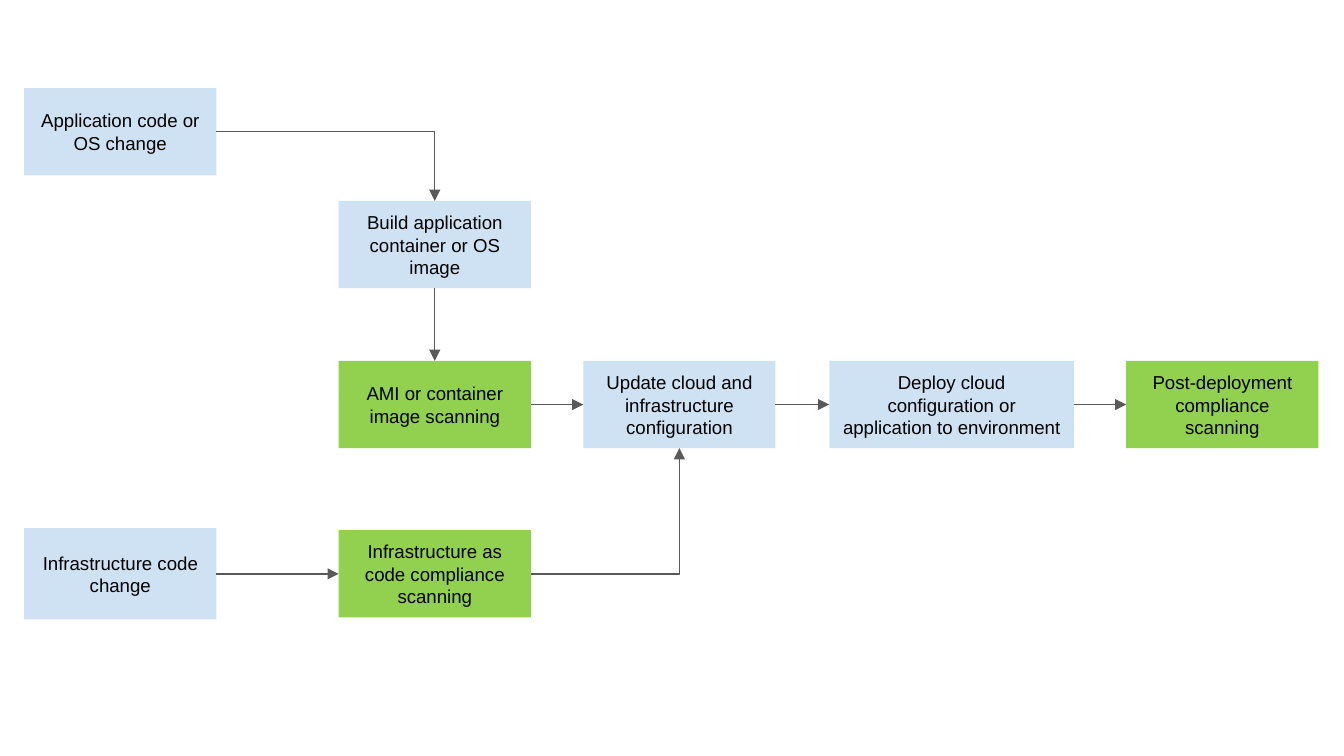
"""Build a slide with a compliance scanning pipeline flowchart."""
import pptx
import pptx.util
import pptx.dml.color
import pptx.enum.shapes
import pptx.enum.text
import pptx.oxml
import pptx.oxml.ns

Inches = pptx.util.Inches
SLIDE_WIDTH = Inches(10)
SLIDE_HEIGHT = SLIDE_WIDTH * 9 // 16
BLUE, GREEN, GREY, BLACK = "CFE2F3", "92D050", "595959", "000000"
COLUMNS = [0.18, 2.52, 4.34, 6.17, 8.38]
ROW_CENTRES = [0.98, 1.82, 3.01, 4.27]
BOX_WIDTH, BOX_HEIGHT = 1.43, 0.65
TOP, LEFT, BOTTOM, RIGHT = range(4)

STEPS = {
    "build": ("Build application container or OS image", 1, 1, BLUE, {}),
    "deploy": ("Deploy cloud configuration or application to environment", 3, 2, BLUE, {"width": 1.82}),
    "update": ("Update cloud and infrastructure configuration", 2, 2, BLUE, {}),
    "app_change": ("Application code or OS change", 0, 0, BLUE, {}),
    "infra_change": ("Infrastructure code change", 0, 3, BLUE, {"height": 0.68}),
    "image_scan": ("AMI or container image scanning", 1, 2, GREEN, {}),
    "infra_scan": ("Infrastructure as code compliance scanning", 1, 3, GREEN, {}),
    "post_scan": ("Post-deployment compliance scanning", 4, 2, GREEN, {}),
}
ARROWS = [
    ("app_change", RIGHT, "build", TOP),
    ("infra_scan", RIGHT, "update", BOTTOM),
    ("image_scan", RIGHT, "update", LEFT),
    ("update", RIGHT, "deploy", LEFT),
    ("build", BOTTOM, "image_scan", TOP),
    ("infra_change", RIGHT, "infra_scan", LEFT),
    ("deploy", RIGHT, "post_scan", LEFT),
]
FRAME_FORMAT = {
    "word_wrap": True,
    "vertical_anchor": pptx.enum.text.MSO_ANCHOR.MIDDLE,
    **{f"margin_{side}": Inches(0.1) for side in ("left", "top", "right", "bottom")},
}
FONT_FORMAT = {"name": "Arial", "size": pptx.util.Pt(10)}


def set_all(target, values):
    for name, value in values.items():
        setattr(target, name, value)


def paint(fill, colour):
    fill.solid()
    fill.fore_color.rgb = pptx.dml.color.RGBColor.from_string(colour)


def add_step(slide, text, column, row, colour, size):
    width, height = size.get("width", BOX_WIDTH), size.get("height", BOX_HEIGHT)
    shape = slide.shapes.add_shape(
        pptx.enum.shapes.MSO_SHAPE.RECTANGLE,
        Inches(COLUMNS[column]), Inches(ROW_CENTRES[row] - height / 2),
        Inches(width), Inches(height))
    shape.shadow.inherit = False
    paint(shape.fill, colour)
    shape.line.fill.background()
    set_all(shape.text_frame, FRAME_FORMAT)
    paragraph = shape.text_frame.paragraphs[0]
    paragraph.alignment = pptx.enum.text.PP_ALIGN.CENTER
    run = paragraph.add_run()
    run.text = text
    set_all(run.font, FONT_FORMAT)
    paint(run.font.fill, BLACK)
    return shape


def add_arrow(slide, start, start_side, end, end_side):
    turns = (start_side - end_side) % 2 == 1
    kind = pptx.enum.shapes.MSO_CONNECTOR
    connector = slide.shapes.add_connector(kind.ELBOW if turns else kind.STRAIGHT, 0, 0, 0, 0)
    connector.begin_connect(start, start_side)
    connector.end_connect(end, end_side)
    connector.line.width = pptx.util.Pt(0.75)
    paint(connector.line.fill, GREY)
    properties = connector._element.spPr
    if turns:
        properties.find(pptx.oxml.ns.qn("a:prstGeom")).set("prst", "bentConnector2")
    line = properties.find(pptx.oxml.ns.qn("a:ln"))
    namespace = pptx.oxml.ns.nsdecls("a")
    line.append(pptx.oxml.parse_xml(f'<a:tailEnd {namespace} type="triangle"/>'))
    properties.append(pptx.oxml.parse_xml(f"<a:effectLst {namespace}/>"))


presentation = pptx.Presentation()
set_all(presentation, {"slide_width": SLIDE_WIDTH, "slide_height": SLIDE_HEIGHT})
slide = presentation.slides.add_slide(presentation.slide_layouts[6])
boxes = {name: add_step(slide, *step) for name, step in STEPS.items()}
for start, start_side, end, end_side in ARROWS:
    add_arrow(slide, boxes[start], start_side, boxes[end], end_side)
presentation.save("out.pptx")
